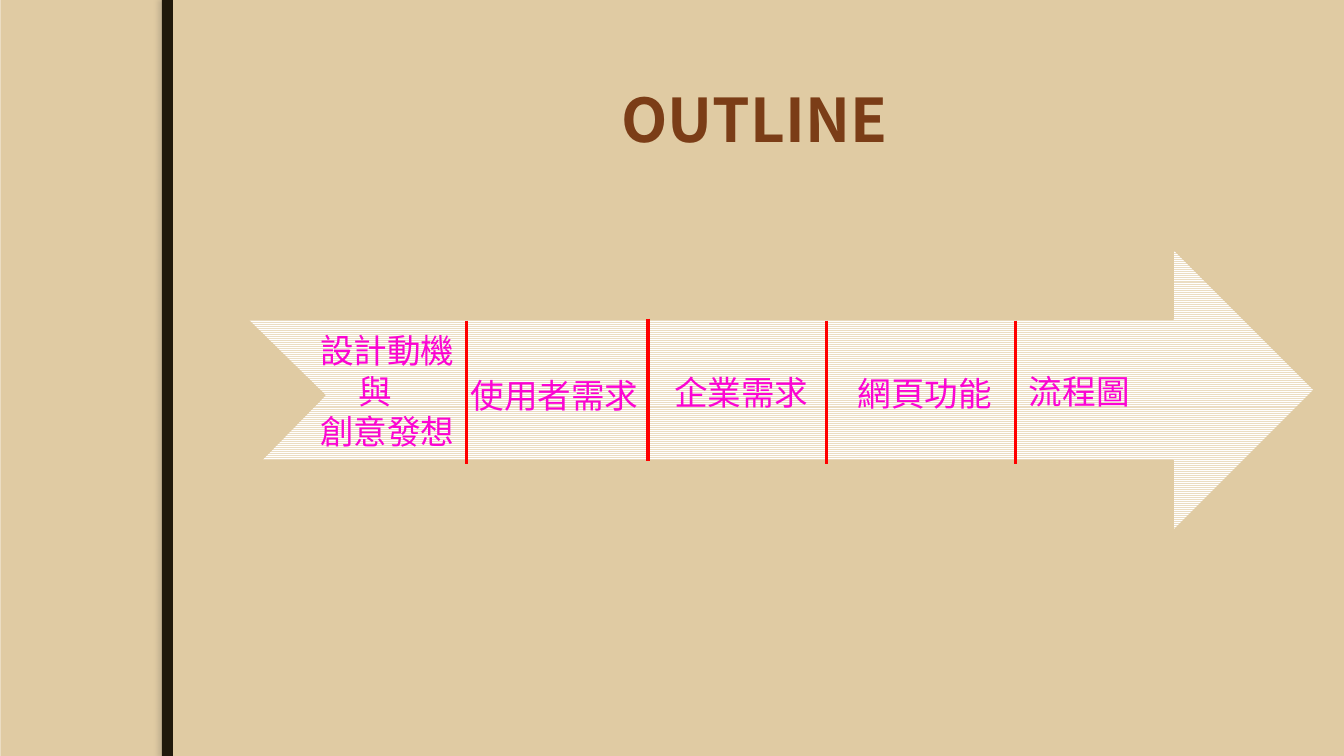
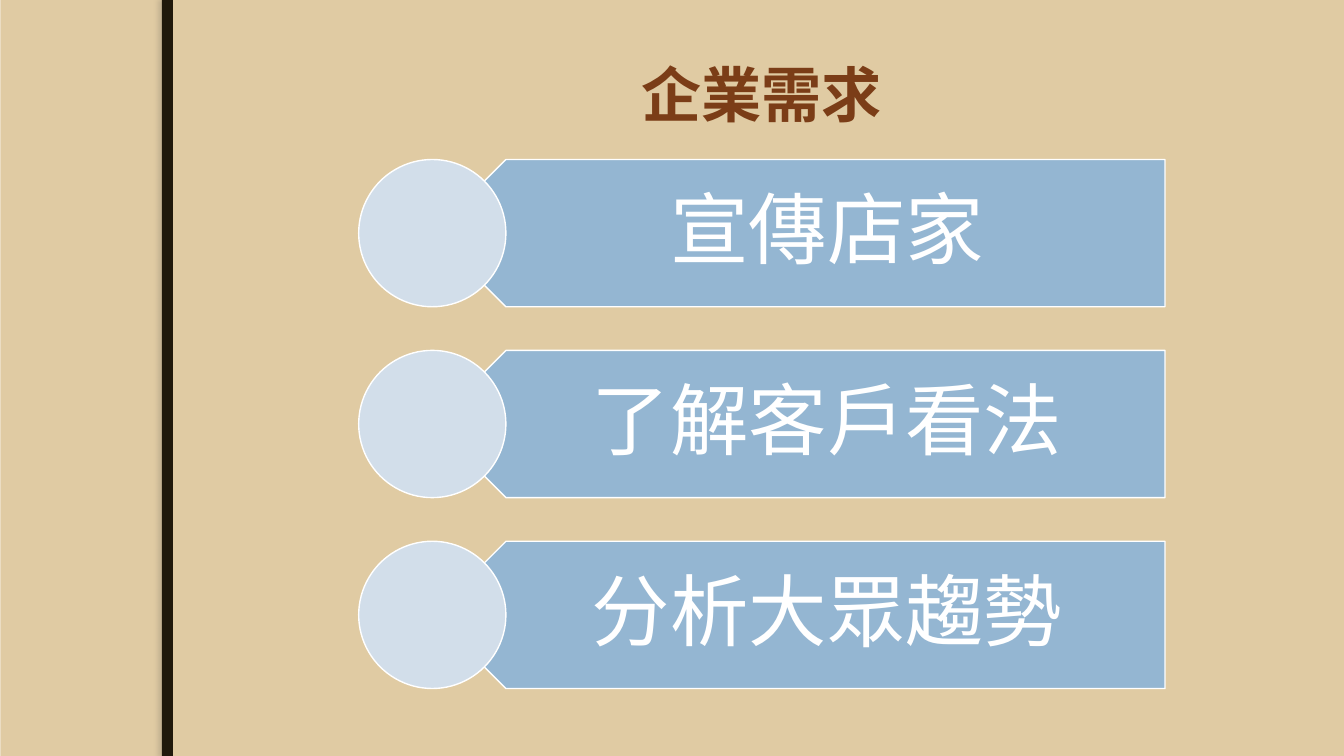
import pptx
import pptx.util
import pptx.dml.color
import pptx.enum.dml
import pptx.enum.shapes
import pptx.enum.text
import pptx.oxml
import pptx.oxml.ns

Cm, Pt = pptx.util.Cm, pptx.util.Pt
SHAPE = pptx.enum.shapes.MSO_SHAPE
ALIGN = pptx.enum.text.PP_ALIGN
ANCHOR = pptx.enum.text.MSO_ANCHOR
qn = pptx.oxml.ns.qn
NS = pptx.oxml.ns.nsdecls("a")

SHADOW = (f'<a:outerShdw {NS} blurRad="38100" dist="38100" dir="10800000">'
          '<a:srgbClr val="766E60"><a:alpha val="25000"/></a:srgbClr></a:outerShdw>')


def rgb(value):
    return pptx.dml.color.RGBColor.from_string(value)


class Deck:
    PAPER, SAND, BAND = "EBDDC3", "E0CBA3", "20190B"
    BROWN, PINK, RED = "7B3D17", "FC04D3", "FF0000"
    BLUE, PALE, WHITE = "94B6D2", "D2DEEA", "FFFFFF"
    TITLE_FONT = "Noto Sans CJK TC"
    LABEL_FONT = "Noto Sans CJK SC"
    BODY_FONT = "TeX Gyre Adventor"

    def __init__(self):
        self.prs = pptx.Presentation()
        self.prs.slide_width, self.prs.slide_height = Cm(33.87), Cm(19.05)
        self.s = None

    def add_slide(self):
        first = self.s is None
        self.s = self.prs.slides.add_slide(self.prs.slide_layouts[5])
        if first:
            self.style_master()

    def style_master(self):
        """Put the background and the dark band on the slide master."""
        master = self.prs.slide_master
        fill = master.background.fill
        fill.solid()
        fill.fore_color.rgb = rgb(self.PAPER)
        sheet = self.shape(SHAPE.RECTANGLE, 0.03, 0, 33.84, 19.05, self.SAND)
        band = self.shape(SHAPE.RECTANGLE, 4.08, 0, 0.28, 19.05, self.BAND)
        effects = band.element.spPr.find(qn("a:effectLst"))
        effects.append(pptx.oxml.parse_xml(SHADOW))
        for i, sp in enumerate((sheet, band), start=2):
            master.shapes.element.insert(i, sp.element)

    def format(self, p, font, size, color, bold=False, align=ALIGN.LEFT):
        p.alignment = align
        for r in p.runs:
            r.font.name, r.font.size, r.font.bold = font, Pt(size), bold
            r.font.color.rgb = rgb(color)
            # East Asian typeface
            r.font.fill  # keeps the fill ahead of the typefaces
            latin = r.font._element.find(qn("a:latin"))
            latin.addnext(pptx.oxml.parse_xml(f'<a:ea {NS} typeface="{font}"/>'))

    def title(self, text, x, y):
        sp = self.s.shapes.title
        sp.left, sp.top, sp.width, sp.height = Cm(x), Cm(y), Cm(27.76), Cm(3.18)
        tf = sp.text_frame
        tf.text = text
        tf.vertical_anchor = ANCHOR.MIDDLE
        self.format(tf.paragraphs[0], self.TITLE_FONT, 43, self.BROWN, True, ALIGN.CENTER)

    def shape(self, kind, x, y, w, h, fill, line=None, rotation=0):
        sp = self.s.shapes.add_shape(kind, Cm(x), Cm(y), Cm(w), Cm(h))
        sp.shadow.inherit = False
        sp.rotation = rotation
        sp.fill.solid()
        sp.fill.fore_color.rgb = rgb(fill)
        if line:
            sp.line.color.rgb = rgb(line)
            sp.line.width = Pt(1)
        else:
            sp.line.fill.background()
        return sp

    def striped(self, sp, fore, back):
        sp.fill.patterned()
        sp.fill.pattern = pptx.enum.dml.MSO_PATTERN.LIGHT_HORIZONTAL
        sp.fill.fore_color.rgb = rgb(fore)
        sp.fill.back_color.rgb = rgb(back)

    def divider(self, x, y, length):
        c = self.s.shapes.add_connector(
            pptx.enum.shapes.MSO_CONNECTOR.STRAIGHT, Cm(x), Cm(y), Cm(x), Cm(y + length))
        c.line.color.rgb = rgb(self.RED)
        c.line.width = Pt(2.25)
        c.element.spPr.append(pptx.oxml.parse_xml(f"<a:effectLst {NS}/>"))

    def label(self, text, x, y, w, h):
        tf = self.s.shapes.add_textbox(Cm(x), Cm(y), Cm(w), Cm(h)).text_frame
        tf.word_wrap = False
        tf.auto_size = pptx.enum.text.MSO_AUTO_SIZE.SHAPE_TO_FIT_TEXT
        tf.text = text
        for p in tf.paragraphs:
            self.format(p, self.LABEL_FONT, 24, self.PINK)
        return tf

    def bar(self, text, x, y, right, size):
        """A pointed bar with a disc over its tip."""
        tip = x + size / 2
        self.shape(SHAPE.PENTAGON, tip, y, right - tip, size, self.BLUE, self.WHITE, 180)
        left = tip + size / 4
        tf = self.s.shapes.add_textbox(Cm(left), Cm(y), Cm(right - left), Cm(size)).text_frame
        tf.word_wrap = True
        tf.vertical_anchor = ANCHOR.MIDDLE
        tf.margin_left, tf.margin_right = Cm(1.63), Cm(1.12)
        tf.margin_top = tf.margin_bottom = Cm(0.58)
        tf.text = text
        p = tf.paragraphs[0]
        p.line_spacing = 0.9
        self.format(p, self.BODY_FONT, 56, self.WHITE, align=ALIGN.CENTER)
        self.shape(SHAPE.OVAL, x, y, size, size, self.PALE, self.WHITE)


def outline(deck):
    deck.add_slide()
    deck.title("OUTLINE", 5.13, 1.4)

    # Arrow with a notched tail
    arrow = deck.shape(SHAPE.RIGHT_ARROW, 6.22, 6.27, 26.9, 7.11, deck.PAPER, deck.SAND)
    deck.striped(arrow, deck.PAPER, deck.WHITE)
    deck.shape(SHAPE.RIGHT_TRIANGLE, 4.88, 8.61, 2.72, 2.79, deck.SAND, deck.SAND, 224.4)

    # Dividers
    for x, y in ((11.76, 8.08), (16.33, 8.03), (20.83, 8.08), (25.6, 8.08)):
        deck.divider(x, y, 3.6)

    # Section names
    motive = deck.label("設計動機\n與\n創意發想", 7.82, 8.2, 3.94, 3.33)
    motive.paragraphs[1]._p.get_or_add_pPr().set("marL", str(Cm(0.96)))
    for text, x, y, w in (("使用者需求", 11.61, 9.32, 4.78), ("企業需求", 16.74, 9.25, 3.94),
                          ("網頁功能", 21.36, 9.27, 3.94), ("流程圖", 25.68, 9.22, 3.07)):
        deck.label(text, x, y, w, 1.27)


def business_needs(deck):
    deck.add_slide()
    deck.title("企業需求", 5.31, 0.76)
    for i, text in enumerate(("宣傳店家", "了解客戶看法", "分析大眾趨勢")):
        deck.bar(text, 9.04, 4.02 + 4.81 * i, 29.36, 3.71)


def main():
    deck = Deck()
    outline(deck)
    business_needs(deck)
    deck.prs.save("out.pptx")


if __name__ == "__main__":
    main()
